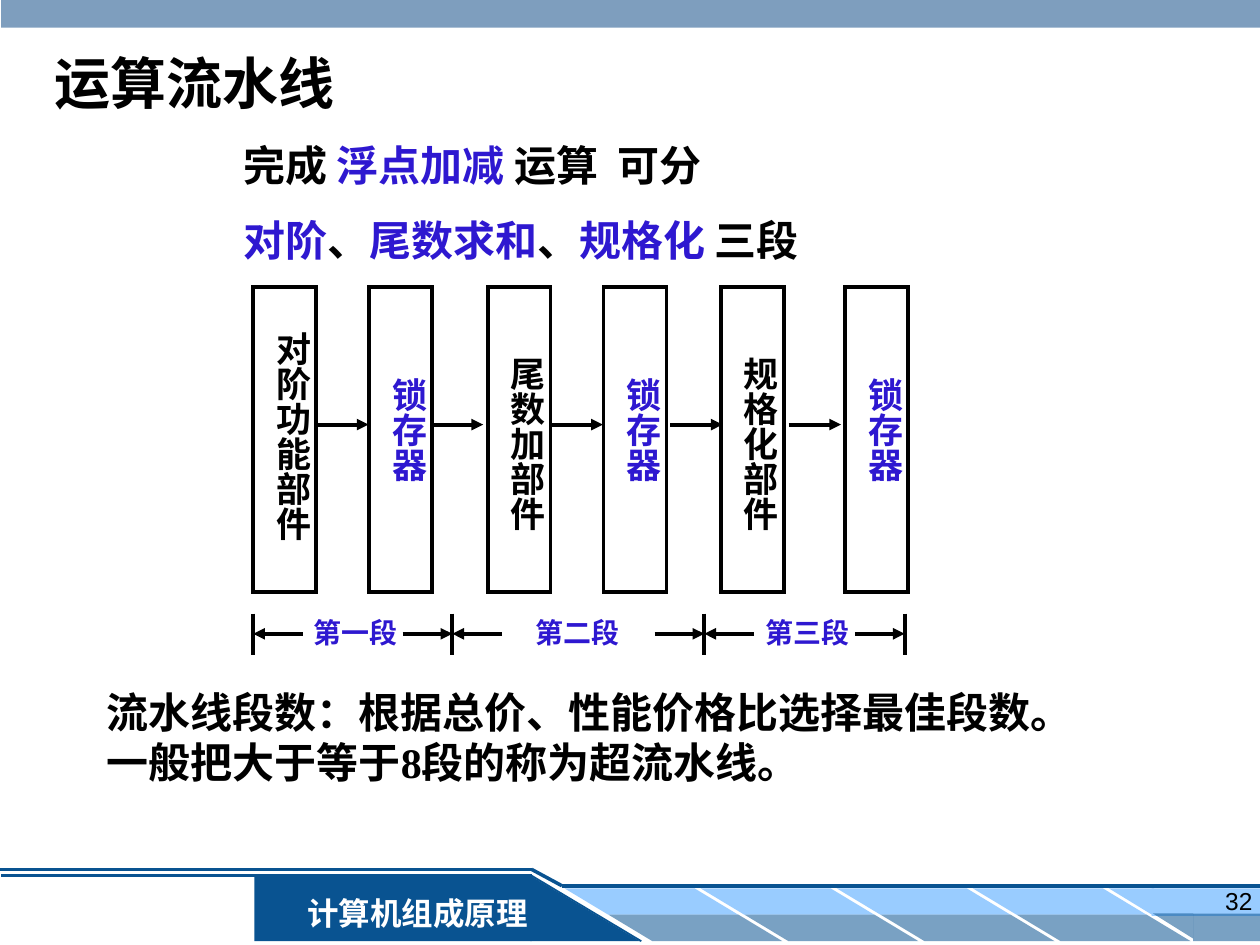
"""Build a slide on the arithmetic pipeline for floating-point addition."""
from dataclasses import dataclass

from lxml import etree
from pptx import Presentation
from pptx.dml.color import RGBColor
from pptx.enum.shapes import MSO_CONNECTOR, MSO_SHAPE
from pptx.enum.text import MSO_ANCHOR, MSO_AUTO_SIZE, PP_ALIGN
from pptx.oxml.ns import qn
from pptx.util import Emu, Inches, Pt

RECTANGLE = MSO_SHAPE.RECTANGLE
SLANT = MSO_SHAPE.PARALLELOGRAM
WEDGE = MSO_SHAPE.RIGHT_TRIANGLE
STRAIGHT = MSO_CONNECTOR.STRAIGHT
TOP, MIDDLE = MSO_ANCHOR.TOP, MSO_ANCHOR.MIDDLE
LEFT, CENTER, RIGHT = PP_ALIGN.LEFT, PP_ALIGN.CENTER, PP_ALIGN.RIGHT
GROW, FIXED = MSO_AUTO_SIZE.SHAPE_TO_FIT_TEXT, MSO_AUTO_SIZE.NONE

COLORS = {"black": "000000", "white": "FFFFFF", "violet": "2E18D0",
          "navy": "095391", "sky": "99CCFF", "steel": "336699"}
SERIF, SANS = "Times New Roman", "Arial"
COLUMNS, ROWS = 100, 75
CELL = Inches(10) / COLUMNS
INK = 2.25
BOX_TOP, BOX_WIDTH, BOX_HEIGHT = 22.8, 5, 24.2
FLOW_ROW, SPAN_ROW = 33.7, 50.3
FLOW_LENGTH, SPAN_LENGTH = 4.15, 3.95


@dataclass(frozen=True)
class Area:
    left: float
    top: float
    width: float
    height: float

    def place(self) -> list[Emu]:
        return [grid(n) for n in (self.left, self.top, self.width, self.height)]


@dataclass(frozen=True)
class Fill:
    area: Area
    kind: int
    color: str
    opacity: int = 100
    flips: tuple[str, ...] = ()


@dataclass(frozen=True)
class Words:
    text: str
    color: str = "black"


@dataclass(frozen=True)
class Style:
    size: float
    font: str = SERIF
    bold: bool = True
    align: int = LEFT
    anchor: int = TOP
    wrap: bool = False
    autosize: int = GROW
    insets: tuple[float, float] = (1, 0.5)
    spacing: float = 1.0
    vertical: bool = False


@dataclass(frozen=True)
class Stage:
    unit: str
    unit_left: float
    unit_text_top: float
    latch_left: float
    flow_start: float
    label: str
    label_left: float
    span_start: float
    span_end: float


TITLE = Style(32, anchor=MIDDLE, autosize=FIXED, insets=(0, 0.5))
INTRO = Style(24, anchor=MIDDLE, autosize=FIXED, insets=(0, 0.5), spacing=1.5)
UPRIGHT = Style(20, insets=(0.5, 1), vertical=True)
SPAN_LABEL = Style(16)
SUMMARY = Style(24, wrap=True)
COURSE = Style(18, align=CENTER, wrap=True)
PAGE = Style(14, SANS, bold=False, align=RIGHT, wrap=True, autosize=FIXED)

STAGES = (
    Stage("对阶功能部件", 20.1, 25.3, 29.3, 25.1, "第一段", 23.9, 20.1, 35.9),
    Stage("尾数加部件", 38.7, 27.3, 47.9, 43.7, "第二段", 41.5, 35.9, 55.9),
    Stage("规格化部件", 57.2, 27.3, 67.1, 62.6, "第三段", 59.8, 55.9, 71.8),
)
STAGE_LINKS = (34.2, 53.2)


def grid(cells: float) -> Emu:
    """Turn a count of grid cells into a length."""
    return Emu(round(cells * CELL))


def rgb(name: str) -> RGBColor:
    """Look up a colour of the palette."""
    return RGBColor.from_string(COLORS[name])


def draw_fill(slide, item: Fill) -> None:
    """Draw a filled shape without outline."""
    shape = slide.shapes.add_shape(item.kind, *item.area.place())
    shape.shadow.inherit = False
    shape.line.fill.background()
    shape.fill.solid()
    shape.fill.fore_color.rgb = rgb(item.color)
    if item.kind == SLANT:
        shape.adjustments[0] = 1.66
    if item.opacity < 100:
        color = next(shape._element.spPr.iter(qn("a:srgbClr")))
        etree.SubElement(color, qn("a:alpha"), val=str(item.opacity * 1000))
    for flip in item.flips:
        shape._element.spPr.get_or_add_xfrm().set(flip, "1")


def draw_box(slide, left: float) -> None:
    """Draw the sharp-cornered outline of a pipeline part."""
    area = Area(left, BOX_TOP, BOX_WIDTH, BOX_HEIGHT)
    box = slide.shapes.add_shape(RECTANGLE, *area.place())
    box.shadow.inherit = False
    box.fill.background()
    box.line.color.rgb = rgb("black")
    box.line.width = Pt(INK)
    etree.SubElement(box.line._get_or_add_ln(), qn("a:miter"), lim="800000")


def draw_line(slide, x1: float, y1: float, x2: float, y2: float,
              color: str = "black", width: float = INK, arrow: bool = False) -> None:
    """Draw a straight line, with an arrowhead at its end on request."""
    line = slide.shapes.add_connector(STRAIGHT, *map(grid, (x1, y1, x2, y2)))
    line.line.color.rgb = rgb(color)
    line.line.width = Pt(width)
    if arrow:
        etree.SubElement(line.line._get_or_add_ln(), qn("a:tailEnd"), type="triangle")
    etree.SubElement(line._element.spPr, qn("a:effectLst"))


def draw_text(slide, area: Area, style: Style, *paragraphs: tuple[Words, ...]) -> None:
    """Write paragraphs of coloured runs into a text box."""
    frame = slide.shapes.add_textbox(*area.place()).text_frame
    frame.word_wrap, frame.auto_size = style.wrap, style.autosize
    frame.vertical_anchor = style.anchor
    frame.margin_left = frame.margin_right = grid(style.insets[0])
    frame.margin_top = frame.margin_bottom = grid(style.insets[1])
    if style.vertical:
        frame._txBody.bodyPr.set("vert", "eaVert")
    for index, runs in enumerate(paragraphs):
        paragraph = frame.add_paragraph() if index else frame.paragraphs[0]
        paragraph.alignment, paragraph.line_spacing = style.align, style.spacing
        for words in runs:
            run = paragraph.add_run()
            run.text = words.text
            run.font.name, run.font.size = style.font, Pt(style.size)
            run.font.bold = style.bold
            run.font.color.rgb = rgb(words.color)


def draw_frame(slide) -> None:
    """Draw the top band and the footer."""
    draw_fill(slide, Fill(Area(0.1, -0.3, COLUMNS, 2.5), RECTANGLE, "steel", 63))
    draw_fill(slide, Fill(Area(20.2, 69.5, 22, 5.2), RECTANGLE, "navy"))
    draw_line(slide, 50.9, 74.7, 42.2, 69.5, "navy", 1)
    draw_line(slide, 42.2, 69.5, 0.1, 69.5, "navy", 1.5)
    draw_line(slide, -0.1, 69, 42.2, 69, "navy", 2)
    for index in range(4):
        left = 44.8 + 10.8 * index
        draw_fill(slide, Fill(Area(left, 70.5, 13.8, 2.1), SLANT, "sky", 100, ("flipH",)))
        draw_fill(slide, Fill(Area(left + 3.5, 72.6, 13.8, 2.1), SLANT, "navy", 54, ("flipH",)))
    both = ("flipH", "flipV")
    for item in (Fill(Area(91.4, 70.5, 8.6, 2.2), RECTANGLE, "sky"),
                 Fill(Area(88, 70.5, 3.6, 2.2), WEDGE, "sky", 100, both),
                 Fill(Area(94.7, 72.5, 5.4, 2.2), RECTANGLE, "navy", 54),
                 Fill(Area(91.5, 72.5, 3.2, 2), WEDGE, "navy", 54, both),
                 Fill(Area(42.1, 69.5, 8.7, 5.2), WEDGE, "navy")):
        draw_fill(slide, item)
    draw_line(slide, 44.6, 70.3, 100.1, 70.3, "navy", 2)
    draw_line(slide, 42.2, 69, 44.6, 70.3, "navy", 2)
    draw_text(slide, Area(22.9, 70.5, 20.5, 4), COURSE, (Words("计算机组成原理", "white"),))
    draw_text(slide, Area(77.1, 69.8, 23.3, 5.2), PAGE, (Words("32"),))


def draw_tick(slide, column: float) -> None:
    """Mark the border of a stage."""
    draw_line(slide, column, 48.7, column, 52)


def draw_flow(slide, start: float) -> None:
    """Draw an arrow between two parts."""
    draw_line(slide, start, FLOW_ROW, start + FLOW_LENGTH, FLOW_ROW, arrow=True)


def draw_stage(slide, stage: Stage) -> None:
    """Draw a stage: its unit, its latch and its span."""
    unit_height = 2.78 * len(stage.unit) + 1
    draw_text(slide, Area(stage.unit_left, stage.unit_text_top, 5.3, unit_height),
              UPRIGHT, (Words(stage.unit),))
    draw_text(slide, Area(stage.latch_left, 29, 5.3, 9.4), UPRIGHT, (Words("锁存器", "violet"),))
    for left in (stage.unit_left, stage.latch_left):
        draw_box(slide, left)
    draw_flow(slide, stage.flow_start)
    for end, inward in ((stage.span_start, SPAN_LENGTH), (stage.span_end, -SPAN_LENGTH)):
        draw_line(slide, end + inward, SPAN_ROW, end, SPAN_ROW, arrow=True)
    draw_tick(slide, stage.span_end)
    draw_text(slide, Area(stage.label_left, 48.4, 9, 3.7), SPAN_LABEL,
              (Words(stage.label, "violet"),))


def main() -> None:
    """Build and save the slide."""
    deck = Presentation()
    deck.slide_width, deck.slide_height = grid(COLUMNS), grid(ROWS)
    slide = deck.slides.add_slide(deck.slide_layouts[6])
    draw_frame(slide)
    draw_text(slide, Area(4.3, 3.6, 36.7, 5.8), TITLE, (Words("运算流水线"),))
    draw_text(slide, Area(19.3, 8.4, 70.8, 13.3), INTRO,
              (Words("完成 "), Words("浮点加减 ", "violet"), Words("运算  可分")),
              (Words("对阶", "violet"), Words("、"), Words("尾数求和", "violet"),
               Words("、"), Words("规格化 ", "violet"), Words("三段")))
    for start in STAGE_LINKS:
        draw_flow(slide, start)
    draw_tick(slide, STAGES[0].span_start)
    for stage in STAGES:
        draw_stage(slide, stage)
    draw_text(slide, Area(7.5, 54, 81.9, 9), SUMMARY, (Words(
        "流水线段数：根据总价、性能价格比选择最佳段数。一般把大于等于8段的称为超流水线。"),))
    deck.save("out.pptx")


if __name__ == "__main__":
    main()
